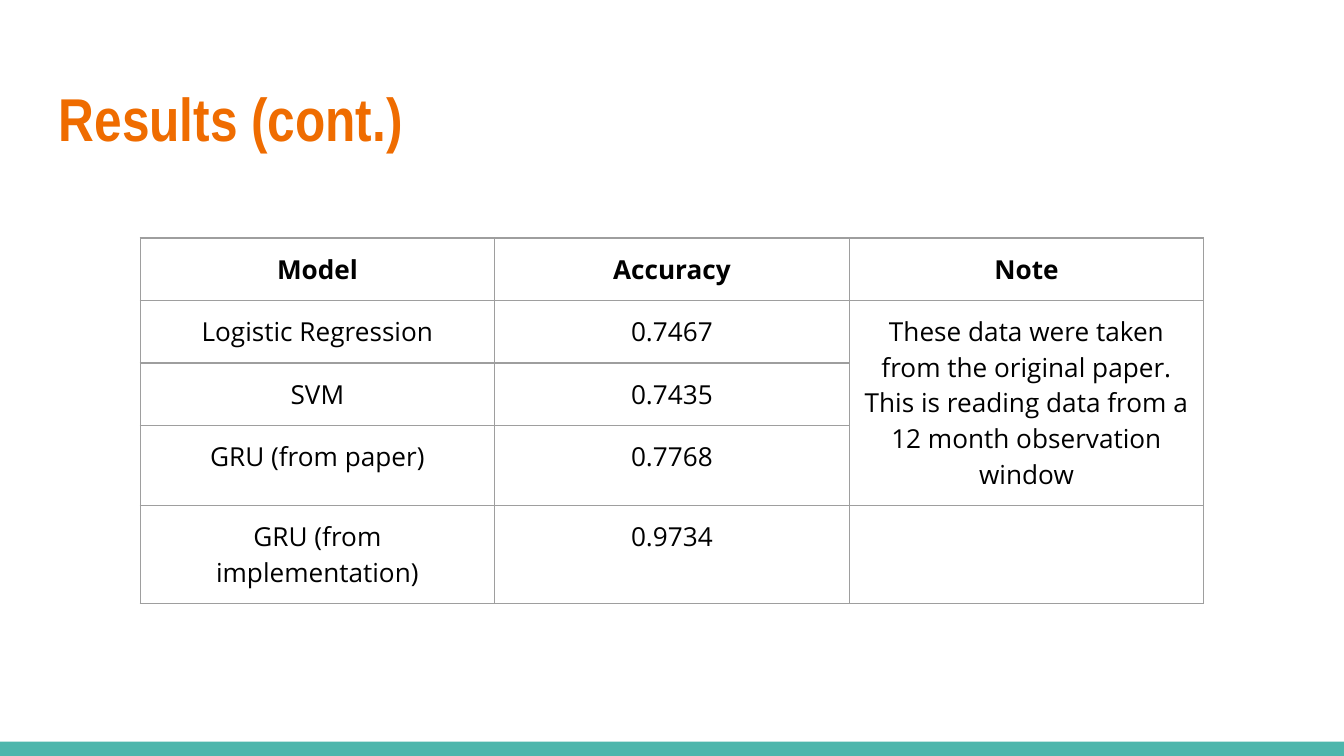
from lxml import etree
from pptx import Presentation
from pptx.dml.color import RGBColor
from pptx.enum.shapes import MSO_SHAPE
from pptx.enum.text import MSO_ANCHOR, PP_ALIGN
from pptx.oxml.ns import qn
from pptx.util import Cm, Pt

RECTANGLE = MSO_SHAPE.RECTANGLE
TOP, MIDDLE = MSO_ANCHOR.TOP, MSO_ANCHOR.MIDDLE
LEFT, CENTER = PP_ALIGN.LEFT, PP_ALIGN.CENTER

COLORS = {
    "background": "FFFFFF",
    "footer": "4DB6AC",
    "title": "EF6C00",
    "text": "000000",
    "border": "9E9E9E",
}
INSET = Cm(0.25)
ROW_HEIGHTS = (1.18, 1.18, 1.18, 1.51, 1.85)
RESULTS = (
    ("Model", "Accuracy", "Note"),
    (
        "Logistic Regression",
        "0.7467",
        "These data were taken from the original paper. "
        "This is reading data from a 12 month observation window",
    ),
    ("SVM", "0.7435", ""),
    ("GRU (from paper)", "0.7768", ""),
    ("GRU (from implementation)", "0.9734", ""),
)


def color(name):
    """Return the named colour."""
    return RGBColor.from_string(COLORS[name])


def add_span(para, text, font, size, tint, bold, align):
    """Add one formatted run to a paragraph."""
    para.alignment = align
    span = para.add_run()
    span.text = text
    span.font.name = font
    span.font.size = Pt(size)
    span.font.bold = bold
    span.font.color.rgb = color(tint)


def set_insets(holder):
    """Give a text frame or cell equal margins on all sides."""
    holder.margin_left = holder.margin_right = INSET
    holder.margin_top = holder.margin_bottom = INSET


def add_borders(cell):
    """Draw a thin line on each side of a cell, ahead of its fill."""
    properties = cell._tc.get_or_add_tcPr()
    for index, side in enumerate(("a:lnL", "a:lnR", "a:lnT", "a:lnB")):
        line = etree.Element(qn(side), w=str(Pt(0.75)))
        fill = etree.SubElement(line, qn("a:solidFill"))
        etree.SubElement(fill, qn("a:srgbClr"), val=COLORS["border"])
        properties.insert(index, line)


def add_footer(page, left, top, width, height):
    """Place the coloured footer band."""
    band = page.shapes.add_shape(RECTANGLE, left, top, width, height)
    band.shadow.inherit = False
    band.fill.solid()
    band.fill.fore_color.rgb = color("footer")
    band.line.fill.background()


def add_title(page, left, top, width, height):
    """Place the slide title."""
    box = page.shapes.add_textbox(left, top, width, height)
    frame = box.text_frame
    frame.word_wrap = True
    frame.vertical_anchor = MIDDLE
    set_insets(frame)
    add_span(frame.paragraphs[0], "Results (cont.)", "Arial Narrow", 32.4, "title", True, LEFT)


def add_results(page, left, top, width, height):
    """Place the results table with one note shared by three models."""
    table = page.shapes.add_table(
        len(RESULTS), len(RESULTS[0]), left, top, width, height
    ).table
    for row, row_height in zip(table.rows, ROW_HEIGHTS):
        row.height = Cm(row_height)
    for row_index, values in enumerate(RESULTS):
        for column_index, value in enumerate(values):
            cell = table.cell(row_index, column_index)
            cell.fill.background()
            cell.vertical_anchor = TOP
            set_insets(cell)
            add_borders(cell)
            if value:
                para = cell.text_frame.paragraphs[0]
                add_span(para, value, "Open Sans", 14, "text", row_index == 0, CENTER)
    table.cell(1, 2).merge(table.cell(3, 2))


def main():
    """Build and save the deck."""
    deck = Presentation()
    deck.slide_width, deck.slide_height = Cm(25.4), Cm(14.29)
    page = deck.slides.add_slide(deck.slide_layouts[6])
    page.background.fill.solid()
    page.background.fill.fore_color.rgb = color("background")
    add_footer(page, Cm(0), Cm(14.02), deck.slide_width, Cm(0.27))
    add_title(page, Cm(0.86), Cm(1.25), Cm(23.67), Cm(1.95))
    add_results(page, Cm(2.65), Cm(4.5), Cm(20.1), Cm(sum(ROW_HEIGHTS)))
    deck.save("out.pptx")


if __name__ == "__main__":
    main()
